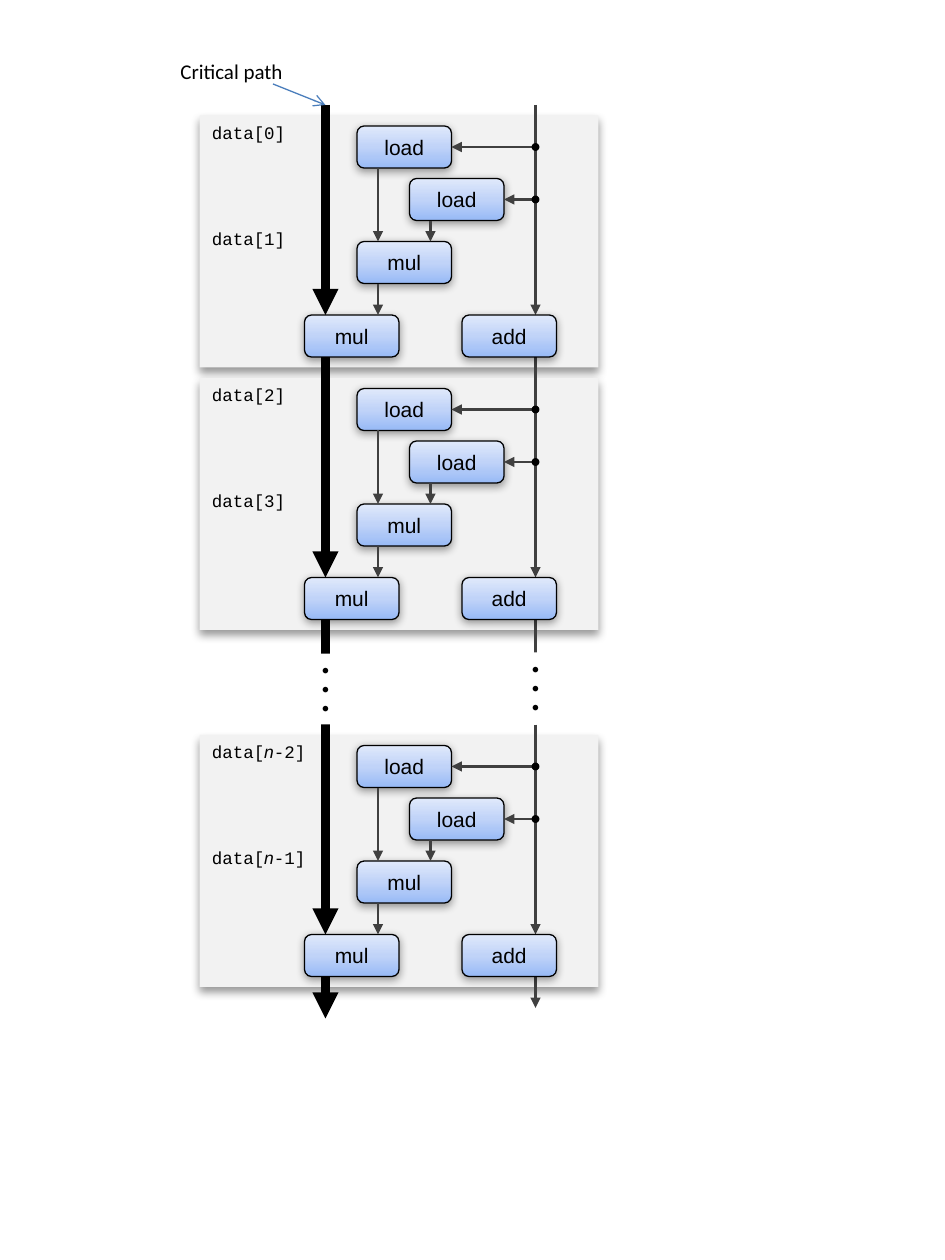
from typing import NamedTuple

from lxml import etree
from pptx import Presentation
from pptx.dml.color import RGBColor
from pptx.enum.shapes import MSO_CONNECTOR, MSO_SHAPE
from pptx.enum.text import MSO_ANCHOR, PP_ALIGN
from pptx.oxml.ns import qn
from pptx.util import Emu, Pt

RECT, ROUNDED, OVAL = MSO_SHAPE.RECTANGLE, MSO_SHAPE.ROUNDED_RECTANGLE, MSO_SHAPE.OVAL
STRAIGHT = MSO_CONNECTOR.STRAIGHT
TOP, MIDDLE = MSO_ANCHOR.TOP, MSO_ANCHOR.MIDDLE
LEFT, CENTER = PP_ALIGN.LEFT, PP_ALIGN.CENTER

PX = 9525  # 96 px to the inch
BLACK, GRAY, PANEL, WHITE, BLUE = "000000", "404040", "F2F2F2", "FFFFFF", "4B7EBC"
NODE_STOPS = ((0, "98BAF6"), (50, "C0D3F8"), (100, "E0E9FB"))
PRODUCT_X, INDEX_X = 248, 408  # the two chains that run through all blocks
NODE_W, NODE_H, DOT = 72, 32, 6


class Run(NamedTuple):
    text: str
    font: str
    size: int
    italic: bool = False


class Node(NamedTuple):
    label: str
    x: int
    y: int  # below the top of the block


class Arrow(NamedTuple):
    x1: int
    y1: int
    x2: int
    y2: int
    color: str = GRAY
    width: float = 1.5
    tail: str = "triangle"


class Block(NamedTuple):
    top: int
    indices: tuple[tuple[str, str], tuple[str, str]]  # italic part, plain part


NODES = (Node("load", 272, 8), Node("load", 312, 48), Node("mul", 272, 96),
         Node("mul", 232, 152), Node("add", 352, 152))
INNER_ARROWS = (Arrow(INDEX_X, 24, 344, 24), Arrow(INDEX_X, 64, 384, 64),
                Arrow(288, 40, 288, 96), Arrow(328, 80, 328, 96),
                Arrow(288, 128, 288, 152))
BLOCKS = (Block(88, (("", "0"), ("", "1"))),
          Block(288, (("", "2"), ("", "3"))),
          Block(560, (("n", "-2"), ("n", "-1"))))
PRODUCT_SPANS = ((80, 240), (272, 440), (472, 712), (744, 776))
INDEX_SPANS = ((80, 240), (272, 440), (472, 512), (552, 712), (744, 768))


def px(n: float) -> Emu:
    return Emu(round(n * PX))


def rgb(color: str) -> RGBColor:
    return RGBColor.from_string(color)


def write(sp, paragraphs: list[list[Run]], align=LEFT, anchor=TOP, gap: float = 0, wrap=True) -> None:
    tf = sp.text_frame
    tf.word_wrap = wrap
    tf.vertical_anchor = anchor
    for i, runs in enumerate(paragraphs):
        p = tf.paragraphs[0] if i == 0 else tf.add_paragraph()
        p.alignment = align
        if i and gap:
            p.space_before = Pt(gap)
        for run in runs:
            r = p.add_run()
            r.text = run.text
            r.font.name, r.font.size, r.font.italic = run.font, Pt(run.size), run.italic
            r.font.color.rgb = rgb(BLACK)


def add_box(s, kind, x: int, y: int, w: int, h: int, fill: str):
    sp = s.shapes.add_shape(kind, px(x), px(y), px(w), px(h))
    sp.shadow.inherit = False
    sp.fill.solid()
    sp.fill.fore_color.rgb = rgb(fill)
    sp.line.fill.background()
    return sp


def add_shadow(sp, alpha: int, distance: float) -> None:
    effects = sp._element.spPr.find(qn("a:effectLst"))
    shadow = etree.SubElement(effects, qn("a:outerShdw"), blurRad=str(Pt(5)),
                              dist=str(Pt(distance)), dir="5400000", rotWithShape="0")
    color = etree.SubElement(shadow, qn("a:srgbClr"), val=BLACK)
    etree.SubElement(color, qn("a:alpha"), val=str(alpha * 1000))


def add_node(s, node: Node, top: int) -> None:
    sp = add_box(s, ROUNDED, node.x, top + node.y, NODE_W, NODE_H, WHITE)
    sp.fill.gradient()
    sp.fill.gradient_angle = 90
    stops = sp._element.spPr.find(qn("a:gradFill")).find(qn("a:gsLst"))
    for stop in list(stops):
        stops.remove(stop)
    for position, color in NODE_STOPS:
        stop = etree.SubElement(stops, qn("a:gs"), pos=str(position * 1000))
        etree.SubElement(stop, qn("a:srgbClr"), val=color)
    sp.line.color.rgb = rgb(BLACK)
    sp.line.width = Pt(0.75)
    add_shadow(sp, 38, 1.6)
    write(sp, [[Run(node.label, "Arial", 12)]], CENTER, MIDDLE)


def add_arrow(s, a: Arrow, top: int = 0) -> None:
    line = s.shapes.add_connector(STRAIGHT, px(a.x1), px(top + a.y1), px(a.x2), px(top + a.y2))
    line.line.color.rgb = rgb(a.color)
    line.line.width = Pt(a.width)
    etree.SubElement(line.line._get_or_add_ln(), qn("a:tailEnd"), type=a.tail)
    etree.SubElement(line._element.spPr, qn("a:effectLst"))


def add_panel(s, block: Block) -> None:
    sp = add_box(s, RECT, 152, block.top, 304, 192, PANEL)
    add_shadow(sp, 40, 3)
    labels = []
    for variable, number in block.indices:
        if variable:
            labels.append([Run("data[", "Courier New", 10), Run(variable, "Arial", 10, True),
                           Run(f"{number}]", "Courier New", 10)])
        else:
            labels.append([Run(f"data[{number}]", "Courier New", 10)])
    write(sp, labels, gap=48.7)


def add_block(s, block: Block) -> None:
    for node in NODES:
        add_node(s, node, block.top)
    for arrow in INNER_ARROWS:
        add_arrow(s, arrow, block.top)
    for y in (24, 64):
        add_box(s, OVAL, INDEX_X - DOT // 2, block.top + y - DOT // 2, DOT, DOT, BLACK)


def main() -> None:
    prs = Presentation()
    prs.slide_width, prs.slide_height = px(720), px(960)
    s = prs.slides.add_slide(prs.slide_layouts[6])

    # Panels behind everything
    for block in BLOCKS:
        add_panel(s, block)

    # Chains from block to block
    for y1, y2 in PRODUCT_SPANS:
        add_arrow(s, Arrow(PRODUCT_X, y1, PRODUCT_X, y2, BLACK, 5))
    for y1, y2 in INDEX_SPANS:
        add_arrow(s, Arrow(INDEX_X, y1, INDEX_X, y2))

    # Operations inside each block
    for block in BLOCKS:
        add_block(s, block)

    # Ellipses for the blocks left out
    for x, y in ((PRODUCT_X, 498), (INDEX_X, 497)):
        sp = add_box(s, RECT, x - 16, y, 32, 54, WHITE)
        write(sp, [[Run("•", "Calibri", 9)]] * 3, CENTER)

    # Callout
    add_arrow(s, Arrow(208, 64, PRODUCT_X, 80, BLUE, 0.75, "arrow"))
    callout = s.shapes.add_textbox(px(128), px(40), px(105), px(29))
    write(callout, [[Run("Critical path", "Calibri", 12)]], wrap=False)

    prs.save("out.pptx")


if __name__ == "__main__":
    main()
